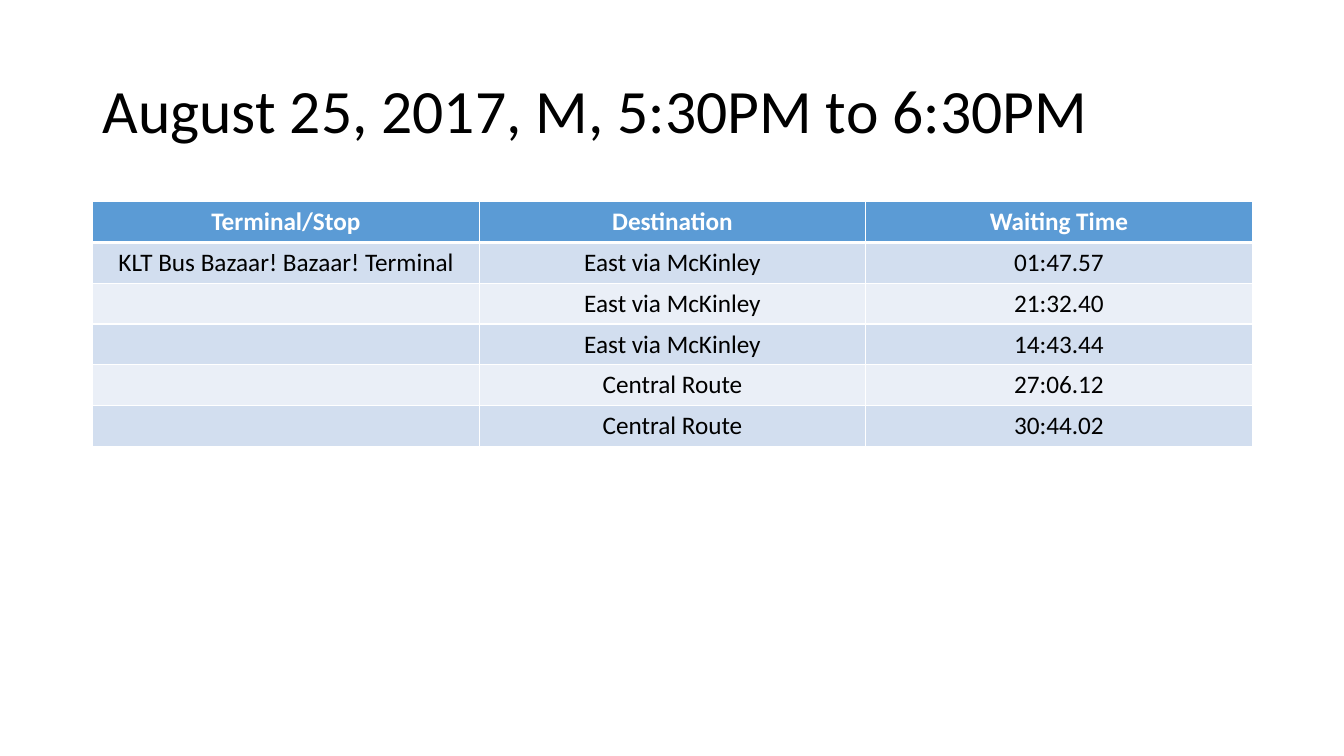
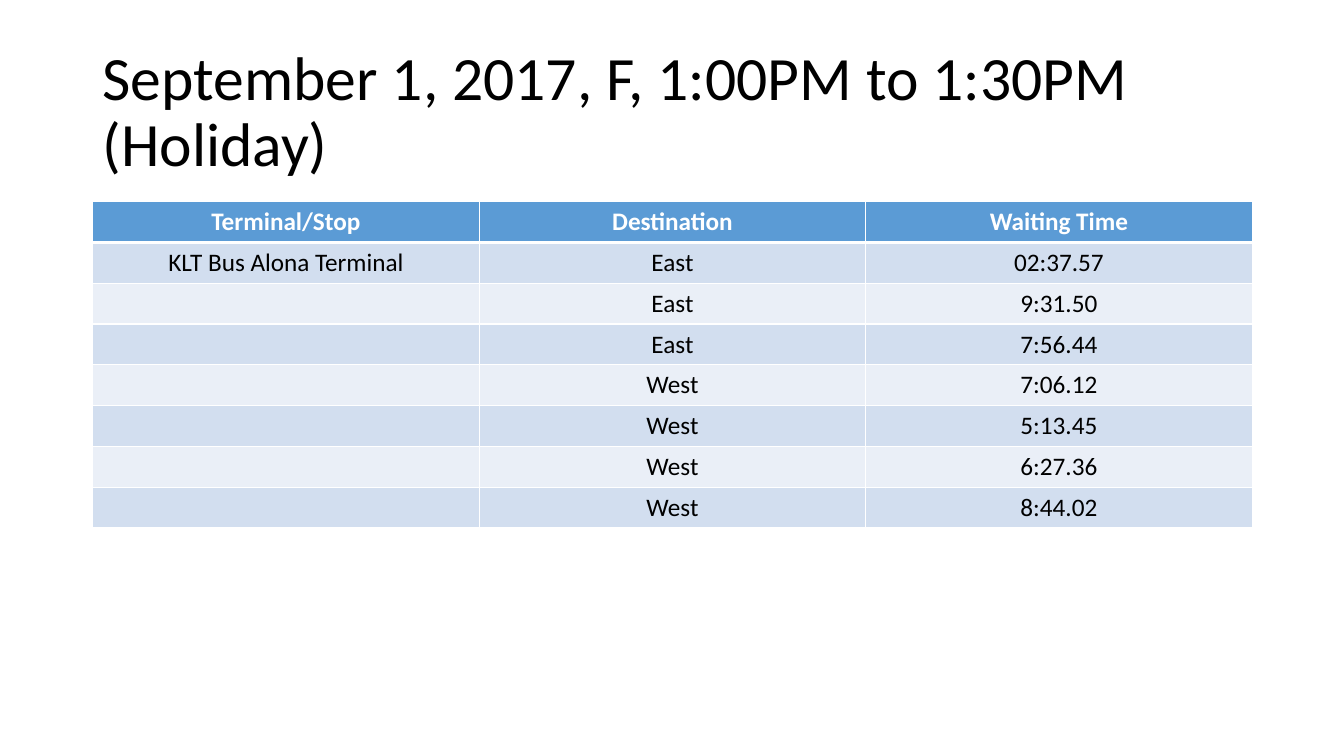
import pptx
import pptx.dml.color
import pptx.enum.text
import pptx.oxml
import pptx.oxml.ns
import pptx.util

Inches, Pt = pptx.util.Inches, pptx.util.Pt
PP_ALIGN = pptx.enum.text.PP_ALIGN

COLORS = {
    "text": "000000",
    "white": "FFFFFF",
    "header": "5B9BD5",
    "odd_row": "D2DEEF",
    "even_row": "EAEFF7",
}
TITLE_FONT = {"name": "Calibri", "size": Pt(44), "bold": False}
HEADER_FONT = {"name": "Calibri", "size": Pt(18), "bold": True}
BODY_FONT = {**HEADER_FONT, "bold": False}

HEADER = ("Terminal/Stop", "Destination", "Waiting Time")
SLIDES = [
    {
        "title": "August 25, 2017, M, 5:30PM to 6:30PM",
        "rows": [
            ("KLT Bus Bazaar! Bazaar! Terminal", "East via McKinley", "01:47.57"),
            ("", "East via McKinley", "21:32.40"),
            ("", "East via McKinley", "14:43.44"),
            ("", "Central Route", "27:06.12"),
            ("", "Central Route", "30:44.02"),
        ],
    },
    {
        "title": "September 1, 2017, F, 1:00PM to 1:30PM\n(Holiday)",
        "rows": [
            ("KLT Bus Alona Terminal", "East", "02:37.57"),
            ("", "East", "9:31.50"),
            ("", "East", "7:56.44"),
            ("", "West", "7:06.12"),
            ("", "West", "5:13.45"),
            ("", "West", "6:27.36"),
            ("", "West", "8:44.02"),
        ],
    },
]

LEFT, WIDTH = Inches(0.92), Inches(11.5)
TITLE_TOP, TITLE_HEIGHT = Inches(0.4), Inches(1.45)
TABLE_TOP, ROW_HEIGHT = Inches(2), Inches(0.81) // 2


def rgb(name):
    return pptx.dml.color.RGBColor.from_string(COLORS[name])


def style_runs(p, font, color):
    for r in p.runs:
        for key, value in font.items():
            setattr(r.font, key, value)
        r.font.color.rgb = rgb(color)


def add_title(s, text):
    sp = s.shapes.add_textbox(LEFT, TITLE_TOP, WIDTH, TITLE_HEIGHT)
    tf = sp.text_frame
    tf.word_wrap = True
    tf.vertical_anchor = pptx.enum.text.MSO_ANCHOR.MIDDLE
    p = tf.paragraphs[0]
    p.text = text
    p.line_spacing = 0.9
    style_runs(p, TITLE_FONT, "text")


def set_borders(cell, row):
    """Draw thin white edges, with a thick one between header and body."""
    widths = {"L": 1, "R": 1, "T": 3 if row == 1 else 1, "B": 3 if row == 0 else 1}
    tc_pr = cell._tc.get_or_add_tcPr()
    for side, width in widths.items():
        tc_pr.append(pptx.oxml.parse_xml(
            f'<a:ln{side} {pptx.oxml.ns.nsdecls("a")} w="{Pt(width)}"><a:solidFill>'
            f'<a:srgbClr val="{COLORS["white"]}"/></a:solidFill></a:ln{side}>'))


def add_times_table(s, rows):
    data = [HEADER, *rows]
    table = s.shapes.add_table(len(data), len(HEADER), LEFT, TABLE_TOP,
                               WIDTH, ROW_HEIGHT * len(data)).table
    for i, values in enumerate(data):
        table.rows[i].height = ROW_HEIGHT
        if i == 0:
            fill, font, color = "header", HEADER_FONT, "white"
        else:
            fill, font, color = ("odd_row" if i % 2 else "even_row"), BODY_FONT, "text"
        for j, value in enumerate(values):
            cell = table.cell(i, j)
            set_borders(cell, i)
            cell.fill.solid()
            cell.fill.fore_color.rgb = rgb(fill)
            p = cell.text_frame.paragraphs[0]
            p.alignment = PP_ALIGN.CENTER
            if value:
                p.text = value
                style_runs(p, font, color)


def main():
    prs = pptx.Presentation()
    prs.slide_width, prs.slide_height = Inches(13.33), Inches(7.5)
    for content in SLIDES:
        s = prs.slides.add_slide(prs.slide_layouts[6])
        add_title(s, content["title"])
        add_times_table(s, content["rows"])
    prs.save("out.pptx")


if __name__ == "__main__":
    main()
